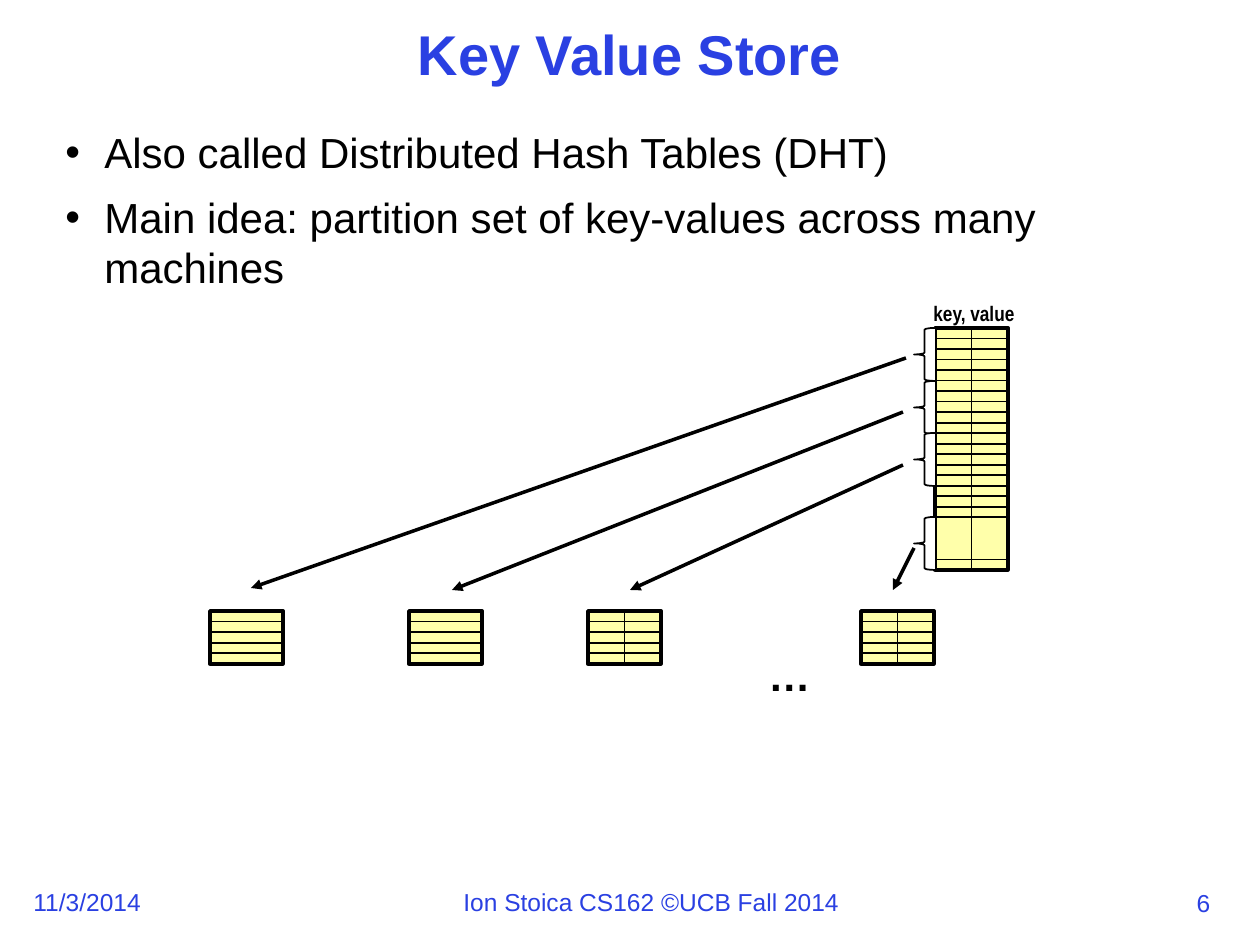
from lxml.etree import SubElement
from pptx import Presentation
from pptx.dml.color import RGBColor
from pptx.enum.shapes import MSO_CONNECTOR, MSO_SHAPE
from pptx.enum.text import MSO_ANCHOR, PP_ALIGN
from pptx.oxml.ns import qn
from pptx.util import Pt

BLUE, BLACK, CREAM, WHITE = "2A40E2", "000000", "FFFFAA", "FFFFFF"
TITLE = "Key Value Store"
POINTS = [
    ("Also called Distributed Hash Tables (DHT)", 0.9, 0),
    ("Main idea: partition set of key-values across many machines", 1, 8),
]
FOOTER = [
    ("11/3/2014", (21, 881, 134, 43), PP_ALIGN.LEFT),
    ("Ion Stoica CS162 ©UCB Fall 2014", (451, 881, 404, 43), PP_ALIGN.LEFT),
    ("6", (1176, 882, 55, 42), PP_ALIGN.CENTER),
]
WIDE = 73
STORE = (935, 328, 242, 23, [*range(1, 19), 22], True)
NODES = [(861, True), (210, False), (409, False), (588, True)]
BRACES = [328, 381, 433, 517]
ARROWS = [
    (906, 358, 251, 588),
    (903, 412, 452, 590),
    (903, 465, 630, 590),
    (914, 548, 893, 590),
]
SCALE = 914400 / 126


def px(size):
    return round(size * SCALE)


def tint(code):
    return RGBColor.from_string(code)


def write(para, text, size=24, color=BLACK, bold=False, font="Arial",
          align=PP_ALIGN.LEFT, lines=1, before=0, bullet=False):
    if bullet:
        props = para._p.get_or_add_pPr()
        props.set("marL", str(px(39)))
        props.set("indent", str(-px(39)))
        SubElement(props, qn("a:buFont")).set("typeface", "Arial")
        SubElement(props, qn("a:buChar")).set("char", "•")
    para.alignment, para.line_spacing = align, float(lines)
    para.space_before = Pt(before)
    run = para.add_run()
    run.text = text
    face = run.font
    face.name, face.size, face.bold = font, Pt(size), bold
    face.color.rgb = tint(color)


def label(slide, box, text, wrap=False, **form):
    frame = slide.shapes.add_textbox(*map(px, box)).text_frame
    frame.word_wrap = wrap
    write(frame.paragraphs[0], text, **form)
    return frame


def shape(parent, kind, box, fill, width):
    item = parent.add_shape(kind, *map(px, box))
    item.shadow.inherit = False
    item.fill.solid()
    item.fill.fore_color.rgb = tint(fill)
    item.line.color.rgb = tint(BLACK)
    item.line.width = Pt(width)


def line(parent, ends, width=1, arrow=False):
    item = parent.add_connector(MSO_CONNECTOR.STRAIGHT, *map(px, ends))
    item.line.color.rgb = tint(BLACK)
    item.line.width = Pt(width)
    if arrow:
        SubElement(item.line._get_or_add_ln(), qn("a:tailEnd")).set("type", "triangle")
    SubElement(item._element.spPr, qn("a:effectLst"))


def grid(slide, left, top, high, rows, rules, split):
    group = slide.shapes.add_group_shape().shapes
    shape(group, MSO_SHAPE.RECTANGLE, (left, top, WIDE, high), CREAM, 2)
    if split:
        mid = left + WIDE / 2
        line(group, (mid, top, mid, top + high))
    for row in rules:
        y = top + row * high / rows
        line(group, (left, y, left + WIDE, y))


def main():
    """Build the key value store slide."""
    deck = Presentation()
    deck.slide_width, deck.slide_height = px(1260), px(945)
    slide = deck.slides.add_slide(deck.slide_layouts[5])

    title = slide.shapes.title
    title.left, title.top, title.width, title.height = map(px, (136, 21, 987, 73))
    title.text_frame.vertical_anchor = MSO_ANCHOR.MIDDLE
    write(title.text_frame.paragraphs[0], TITLE, size=32, color=BLUE, bold=True,
          align=PP_ALIGN.CENTER, lines=0.9)

    for text, box, align in FOOTER:
        label(slide, box, text, size=14, color=BLUE, align=align)

    (first, lines, _), *rest = POINTS
    body = label(slide, (53, 126, 1155, 210), first, wrap=True, lines=lines, bullet=True)
    for text, lines, gap in rest:
        write(body.add_paragraph(), text, lines=lines, before=gap, bullet=True)

    grid(slide, *STORE)
    for left, split in NODES:
        grid(slide, left, 611, 53, 5, range(1, 5), split)
    for top in BRACES:
        shape(slide.shapes, MSO_SHAPE.LEFT_BRACE, (914, top, 21, 53), WHITE, 1)
    label(slide, (921, 294, 107, 38), "key, value", size=12, bold=True, font="Arial Narrow")
    for ends in ARROWS:
        line(slide.shapes, ends, width=2, arrow=True)
    label(slide, (756, 643, 68, 63), "…", bold=True)
    deck.save("out.pptx")


if __name__ == "__main__":
    main()
